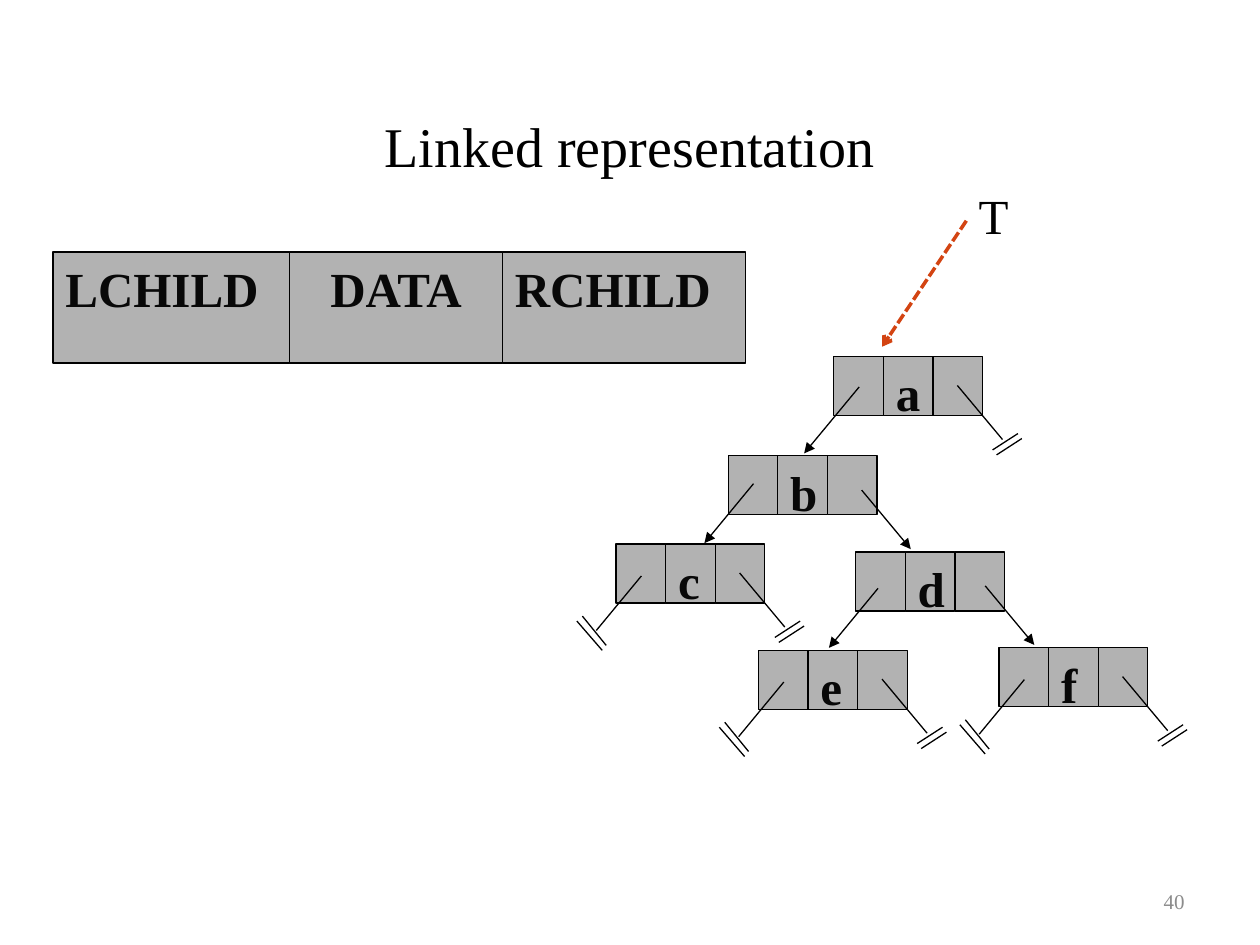
from dataclasses import dataclass

from lxml import etree
from pptx import Presentation
from pptx import util as u
from pptx.dml.color import RGBColor
from pptx.enum import dml, shapes, text
from pptx.oxml.ns import qn


@dataclass(frozen=True)
class Theme:
    font: str = "Times New Roman"
    ink: str = "000000"
    label: str = "080808"
    cell: str = "B2B2B2"
    pointer: str = "D34412"
    muted: str = "8C8C8C"
    title_size: int = 32
    text_size: int = 28
    number_size: int = 12
    thin: float = 0.75
    thick: float = 2


THEME = Theme()
CELL_WIDTH, CELL_HEIGHT = 1.0, 1.19

# Left and top of each tree node, in centimetres
NODES = {
    "a": (16.81, 7.19),
    "b": (14.68, 9.19),
    "d": (17.25, 11.13),
    "c": (12.42, 10.97),
    "e": (15.29, 13.11),
    "f": (20.14, 13.06),
}
CHILD_LINKS = [
    ((17.32, 7.80), (16.21, 9.14)),
    ((15.19, 9.75), (14.20, 10.95)),
    ((17.37, 9.88), (18.36, 11.07)),
    ((17.70, 11.86), (16.71, 13.06)),
    ((19.86, 11.81), (20.85, 13.00)),
]
# Strokes of a null link, measured from the top left of its node
LEFT_NULL = [
    ((0.51, 0.64), (-0.40, 1.74)),
    ((-0.68, 1.45), (-0.20, 2.04)),
    ((-0.79, 1.55), (-0.28, 2.14)),
]
RIGHT_NULL = [
    ((2.49, 0.58), (3.40, 1.67)),
    ((3.20, 1.88), (3.71, 1.55)),
    ((3.28, 1.98), (3.79, 1.65)),
]


def write(frame, words, size=THEME.text_size, color=THEME.ink, bold=False,
          align=text.PP_ALIGN.LEFT, anchor=text.MSO_ANCHOR.TOP):
    frame.word_wrap = True
    frame.vertical_anchor = anchor
    para = frame.paragraphs[0]
    para.alignment = align
    span = para.add_run()
    span.text = words
    span.font.name = THEME.font
    span.font.size = u.Pt(size)
    span.font.bold = bold
    span.font.color.rgb = RGBColor.from_string(color)
    return para


def add_heading(page, words):
    page.shapes.title.element.getparent().remove(page.shapes.title.element)
    body = page.placeholders[1]
    body.left, body.top = u.Cm(1.27), u.Cm(2.12)
    body.width, body.height = u.Cm(22.86), u.Cm(14.82)
    para = write(body.text_frame, words, size=THEME.title_size,
                 align=text.PP_ALIGN.CENTER)
    props = para._p.get_or_add_pPr()
    props.set("marL", "0")
    props.set("indent", "0")
    etree.SubElement(props, qn("a:buNone"))


def add_label(page, left, top, width, height, words, **style):
    box = page.shapes.add_textbox(u.Cm(left), u.Cm(top), u.Cm(width), u.Cm(height))
    write(box.text_frame, words, **style)


def add_cell(group, left, top, width, height, words="", **style):
    box = group.shapes.add_shape(shapes.MSO_SHAPE.RECTANGLE, u.Cm(left), u.Cm(top),
                                 u.Cm(width), u.Cm(height))
    box.shadow.inherit = False
    box.fill.solid()
    box.fill.fore_color.rgb = RGBColor.from_string(THEME.cell)
    box.line.color.rgb = RGBColor.from_string(THEME.ink)
    box.line.width = u.Pt(THEME.thin)
    if words:
        write(box.text_frame, words, color=THEME.label, bold=True, **style)


def add_line(parent, start, end, color=THEME.ink, width=THEME.thin, dash=None, head=None):
    line = parent.shapes.add_connector(shapes.MSO_CONNECTOR.STRAIGHT,
                                       *(u.Cm(value) for value in (*start, *end)))
    line.line.color.rgb = RGBColor.from_string(color)
    line.line.width = u.Pt(width)
    if dash:
        line.line.dash_style = dash
    if head:
        etree.SubElement(line.line._get_or_add_ln(), qn("a:tailEnd"), type=head)
    etree.SubElement(line._element.spPr, qn("a:effectLst"))


def add_record(page):
    """Draw the three fields of a node side by side."""
    group = page.shapes.add_group_shape()
    left = 1.07
    for words, width, align in (("LCHILD", 4.77, text.PP_ALIGN.LEFT),
                                ("DATA", 4.29, text.PP_ALIGN.CENTER),
                                ("RCHILD", 4.90, text.PP_ALIGN.LEFT)):
        add_cell(group, left, 5.08, width, 2.24, words, align=align)
        left += width


def add_node(group, name):
    left, top = NODES[name]
    for column, words in enumerate(("", name, "")):
        add_cell(group, left + column * CELL_WIDTH, top, CELL_WIDTH, CELL_HEIGHT, words)


def add_null(group, name, strokes):
    left, top = NODES[name]
    for start, end in strokes:
        add_line(group, (left + start[0], top + start[1]), (left + end[0], top + end[1]))


def add_tree(page):
    group = page.shapes.add_group_shape()
    for name in NODES:
        add_node(group, name)
    for start, end in CHILD_LINKS:
        add_line(group, start, end, head="triangle")
    for name in "acef":
        add_null(group, name, RIGHT_NULL)
    for name in "cef":
        add_null(group, name, LEFT_NULL)


def main():
    deck = Presentation()
    deck.slide_width, deck.slide_height = u.Cm(25.4), u.Cm(19.05)
    page = deck.slides.add_slide(deck.slide_layouts[1])
    add_heading(page, "Linked representation")
    add_record(page)
    add_tree(page)
    add_line(page, (19.48, 4.45), (17.78, 6.99), color=THEME.pointer, width=THEME.thick,
             dash=dml.MSO_LINE.SQUARE_DOT, head="arrow")
    add_label(page, 19.48, 3.61, 2.54, 1.45, "T")
    add_label(page, 18.21, 17.65, 5.92, 1.02, "40", size=THEME.number_size,
              color=THEME.muted, align=text.PP_ALIGN.RIGHT, anchor=text.MSO_ANCHOR.MIDDLE)
    deck.save("out.pptx")


if __name__ == "__main__":
    main()
